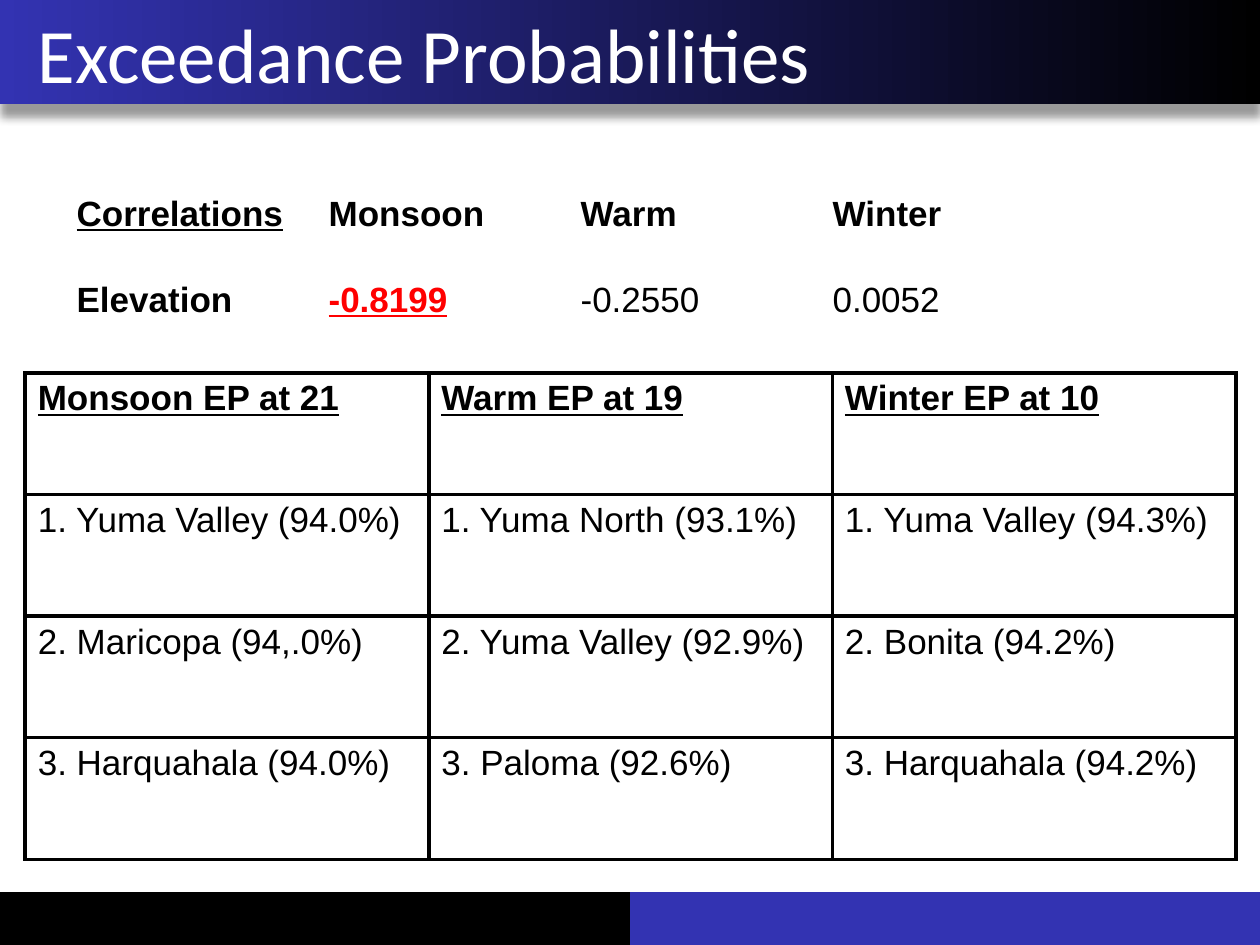
import pptx
import pptx.util
import pptx.oxml
import pptx.dml.color
import pptx.enum.shapes
import pptx.enum.text
from lxml import etree

Inches, Pt = pptx.util.Inches, pptx.util.Pt
NS = "http://schemas.openxmlformats.org/drawingml/2006/main"

# Content
TITLE = "Exceedance Probabilities"
BLACK, BLUE, RED, WHITE = "000000", "3333B2", "FF0000", "FFFFFF"
# Each run: text, colour, bold, underline
CORRELATIONS = [
    [("Correlations", BLACK, True, True),
     ("\tMonsoon\tWarm\tWinter", BLACK, True, False)],
    [("Elevation\t", BLACK, True, False),
     ("-0.8199", RED, True, True),
     ("\t-0.2550\t0.0052", BLACK, False, False)],
]
TAB_STOPS = [2, 4, 6]
RANKING = [
    ["Monsoon EP at 21", "Warm EP at 19", "Winter EP at 10"],
    ["1. Yuma Valley (94.0%)", "1. Yuma North (93.1%)", "1. Yuma Valley (94.3%)"],
    ["2. Maricopa (94,.0%)", "2. Yuma Valley (92.9%)", "2. Bonita (94.2%)"],
    ["3. Harquahala (94.0%)", "3. Paloma (92.6%)", "3. Harquahala (94.2%)"],
]


def rgb(color):
    return pptx.dml.color.RGBColor.from_string(color)


def format_run(r, size, color, bold=False, underline=False, font="Arial"):
    r.font.name, r.font.size = font, Pt(size)
    r.font.bold, r.font.underline = bold, underline
    r.font.color.rgb = rgb(color)


def add_bar(s, left, top, width, height, color):
    sp = s.shapes.add_shape(pptx.enum.shapes.MSO_SHAPE.RECTANGLE,
                            Inches(left), Inches(top), Inches(width), Inches(height))
    sp.shadow.inherit = False
    sp.fill.solid()
    sp.fill.fore_color.rgb = rgb(color)
    sp.line.fill.background()
    return sp


def add_drop_shadow(sp):
    effects = sp._element.spPr.find(f"{{{NS}}}effectLst")
    effects.append(pptx.oxml.parse_xml(
        f'<a:outerShdw xmlns:a="{NS}" blurRad="{Pt(5)}" dist="{Pt(7)}" dir="5400000" '
        'algn="t" rotWithShape="0"><a:srgbClr val="000000"><a:alpha val="40000"/>'
        '</a:srgbClr></a:outerShdw>'))


def set_borders(cell, color, width):
    tcPr = cell._tc.get_or_add_tcPr()
    for i, side in enumerate(("lnL", "lnR", "lnT", "lnB")):
        tcPr.insert(i, pptx.oxml.parse_xml(
            f'<a:{side} xmlns:a="{NS}" w="{Pt(width)}"><a:solidFill>'
            f'<a:srgbClr val="{color}"/></a:solidFill></a:{side}>'))


prs = pptx.Presentation()
prs.slide_width, prs.slide_height = Inches(10), Inches(7.5)
s = prs.slides.add_slide(prs.slide_layouts[5])

# Header and footer bars
header = add_bar(s, 0, 0, 10, 0.83, BLUE)
header.fill.gradient()
header.fill.gradient_angle = 0
for stop, color in zip(header.fill.gradient_stops, (BLUE, BLACK)):
    stop.color.rgb = rgb(color)
add_drop_shadow(header)
for left, color in ((5, BLUE), (0, BLACK)):
    add_bar(s, left, 7.08, 5, 0.42, color)

# Title, brought in front of the header bar
title = s.shapes.title
s.shapes._spTree.append(title._element)
title.left, title.top = Inches(0), Inches(0)
title.width, title.height = Inches(9.75), Inches(0.83)
tf = title.text_frame
tf.text = TITLE
tf.margin_left = Inches(0.3)
tf.auto_size = pptx.enum.text.MSO_AUTO_SIZE.NONE
tf.vertical_anchor = pptx.enum.text.MSO_ANCHOR.MIDDLE
p = tf.paragraphs[0]
p.alignment = pptx.enum.text.PP_ALIGN.LEFT
format_run(p.runs[0], 44, WHITE, font="Calibri")

# Correlations, aligned on tab stops
box = s.shapes.add_textbox(Inches(0.51), Inches(1.47), Inches(9.06), Inches(1.45))
tf = box.text_frame
tf.word_wrap = True
for i, line in enumerate(CORRELATIONS):
    p = tf.add_paragraph() if i else tf.paragraphs[0]
    p.space_before = Pt(25 * i)
    tabs = etree.SubElement(p._p.get_or_add_pPr(), f"{{{NS}}}tabLst")
    for stop in TAB_STOPS:
        etree.SubElement(tabs, f"{{{NS}}}tab", pos=str(Inches(stop)), algn="l")
    for text, color, bold, underline in line:
        r = p.add_run()
        r.text = text
        format_run(r, 20, color, bold, underline)

# Ranking table
table = s.shapes.add_table(len(RANKING), len(RANKING[0]), Inches(0.2), Inches(2.96),
                           Inches(9.61), Inches(3.86)).table
table.first_row = table.horz_banding = False
for i, row in enumerate(RANKING):
    for j, text in enumerate(row):
        cell = table.cell(i, j)
        cell.text = text
        cell.fill.background()
        set_borders(cell, BLACK, 2.25)
        format_run(cell.text_frame.paragraphs[0].runs[0], 20, BLACK, i == 0, i == 0)

prs.save("out.pptx")
